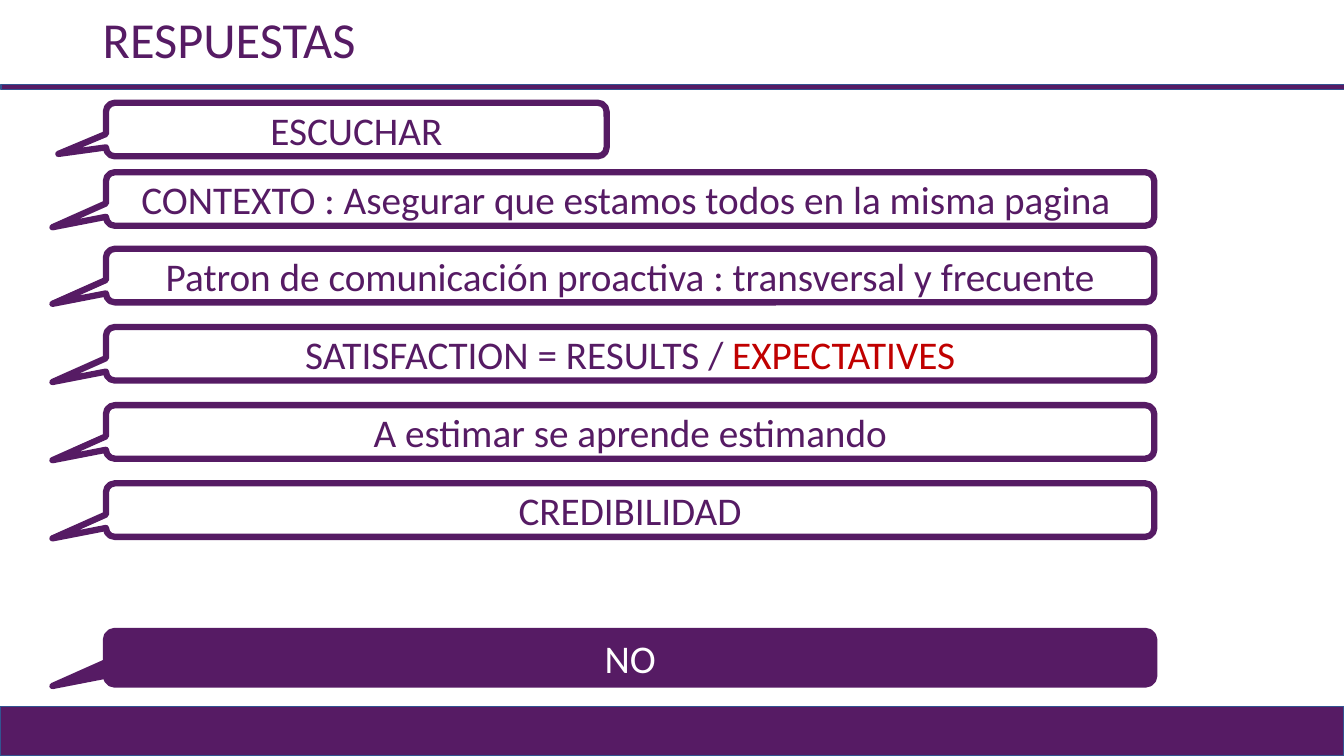
import pptx
import pptx.dml.color
import pptx.enum.shapes
import pptx.enum.text
import pptx.util

Cm = pptx.util.Cm
Pt = pptx.util.Pt
Shapes = pptx.enum.shapes.MSO_SHAPE

COLOURS = {
    "purple": "561B64",
    "blue": "325491",
    "red": "C00000",
    "white": "FFFFFF",
}
SLIDE_WIDTH, SLIDE_HEIGHT = 33.87, 19.05
ANSWER_LEFT, ANSWER_WIDTH, ANSWER_HEIGHT = 2.67, 26.42, 1.35
WIDE_TAIL = (-0.551, 0.528, 0.167)
SHORT_TAIL = (-0.595, 0.455, 0.167)


def rgb(colour):
    return pptx.dml.color.RGBColor.from_string(COLOURS[colour])


def add_filled(slide, preset, left, top, width, height, fill, line, line_width):
    shape = slide.shapes.add_shape(preset, Cm(left), Cm(top), Cm(width), Cm(height))
    shape.shadow.inherit = False
    shape.fill.solid()
    shape.fill.fore_color.rgb = rgb(fill)
    shape.line.color.rgb = rgb(line)
    shape.line.width = Pt(line_width)
    return shape


def add_band(slide, left, top, height):
    add_filled(slide, Shapes.RECTANGLE, left, top, SLIDE_WIDTH, height,
               "purple", "blue", 1)


def style_paragraph(paragraph, size, colour):
    paragraph.font.name = "Calibri"
    paragraph.font.size = Pt(size)
    paragraph.font.color.rgb = rgb(colour)


def add_title(slide, text):
    title = slide.shapes.add_textbox(Cm(2.34), Cm(0.23), Cm(29.21), Cm(1.68))
    frame = title.text_frame
    frame.word_wrap = True
    frame.vertical_anchor = pptx.enum.text.MSO_ANCHOR.MIDDLE
    paragraph = frame.paragraphs[0]
    paragraph.text = text
    paragraph.line_spacing = 0.9
    style_paragraph(paragraph, 36, "purple")


def add_answer(slide, top, text, width=ANSWER_WIDTH, tail=WIDE_TAIL,
               fill="white", colour="purple", highlight=None):
    """Add a speech callout; highlight is closing text shown in red."""
    answer = add_filled(slide, Shapes.ROUNDED_RECTANGULAR_CALLOUT, ANSWER_LEFT, top,
                        width, ANSWER_HEIGHT, fill, "purple", 4.5)
    for index, value in enumerate(tail):
        answer.adjustments[index] = value
    frame = answer.text_frame
    frame.word_wrap = True
    frame.vertical_anchor = pptx.enum.text.MSO_ANCHOR.MIDDLE
    paragraph = frame.paragraphs[0]
    paragraph.text = text
    paragraph.alignment = pptx.enum.text.PP_ALIGN.CENTER
    style_paragraph(paragraph, 28, colour)
    if highlight:
        run = paragraph.add_run()
        run.text = highlight
        run.font.color.rgb = rgb("red")


def main():
    deck = pptx.Presentation()
    deck.slide_width = Cm(SLIDE_WIDTH)
    deck.slide_height = Cm(SLIDE_HEIGHT)
    slide = deck.slides.add_slide(deck.slide_layouts[6])

    add_band(slide, 0, 17.81, 1.24)
    add_band(slide, 0.03, 2.13, 0.13)
    add_title(slide, "RESPUESTAS")

    add_answer(slide, 2.59, "ESCUCHAR", width=12.62, tail=SHORT_TAIL)
    add_answer(slide, 4.34, "CONTEXTO : Asegurar que estamos todos en la misma pagina ")
    evenly_spaced = [
        ("Patron de comunicación proactiva : transversal y frecuente", None),
        ("SATISFACTION = RESULTS / ", "EXPECTATIVES"),
        ("A estimar se aprende estimando", None),
        ("CREDIBILIDAD", None),
    ]
    for row, (text, highlight) in enumerate(evenly_spaced):
        add_answer(slide, 6.27 + 1.97 * row, text, highlight=highlight)
    add_answer(slide, 15.9, "NO", fill="purple", colour="white")

    deck.save("out.pptx")


if __name__ == "__main__":
    main()
